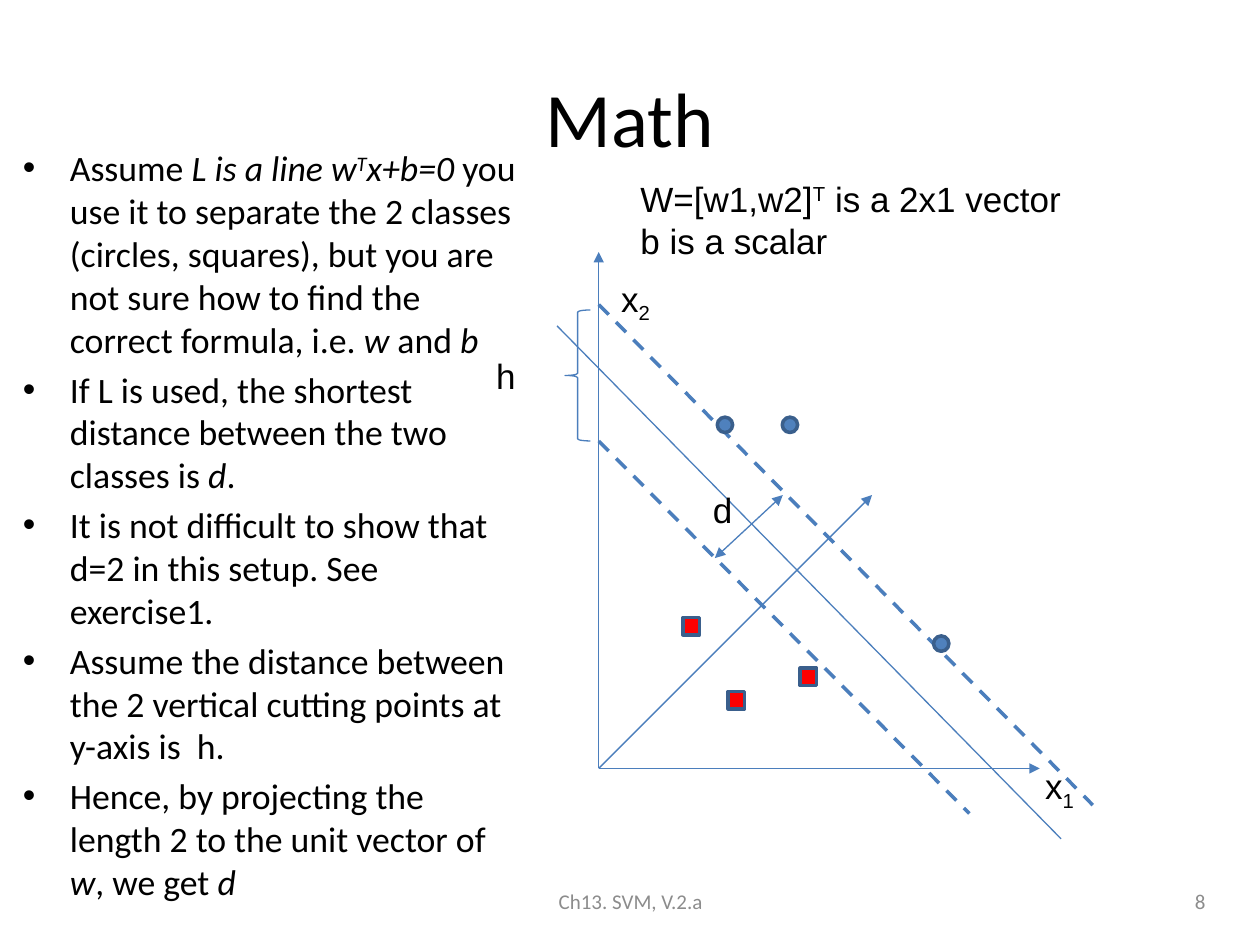
from lxml import etree
from pptx import Presentation
from pptx.dml.color import RGBColor
from pptx.enum.dml import MSO_LINE
from pptx.enum.shapes import MSO_CONNECTOR, MSO_SHAPE
from pptx.enum.text import MSO_ANCHOR, PP_ALIGN
from pptx.oxml.ns import qn
from pptx.util import Cm, Pt

STRAIGHT = MSO_CONNECTOR.STRAIGHT
OVAL, RECT, BRACE = MSO_SHAPE.OVAL, MSO_SHAPE.RECTANGLE, MSO_SHAPE.LEFT_BRACE
DASH = MSO_LINE.DASH
MIDDLE = MSO_ANCHOR.MIDDLE
LEFT, CENTER, RIGHT = PP_ALIGN.LEFT, PP_ALIGN.CENTER, PP_ALIGN.RIGHT

BLACK = RGBColor(0x00, 0x00, 0x00)
GRAY = RGBColor(0x8C, 0x8C, 0x8C)
BLUE = RGBColor(0x4F, 0x81, 0xBD)
LINE = RGBColor(0x4B, 0x7E, 0xBC)
EDGE = RGBColor(0x3A, 0x5F, 0x8C)
RED = RGBColor(0xFF, 0x00, 0x00)

POINTS = [
    [("Assume ", ""), ("L is a line w", "i"), ("T", "i^"), ("x+b=0 ", "i"),
     ("you use it to separate the 2 classes (circles, squares), but you are "
      "not sure how to find the correct formula, i.e. ", ""),
     ("w", "i"), (" and ", ""), ("b", "i")],
    [("If L is used, the shortest distance between the two classes is ", ""),
     ("d", "i"), (".", "")],
    [("It is not difficult to show that d=2 in this setup. See exercise1.", "")],
    [("Assume the distance between the 2 vertical cutting points at y-axis is  h.", "")],
    [("Hence, by projecting the length 2 to the unit vector of ", ""),
     ("w", "i"), (", we get ", ""), ("d", "i")],
]
NOTES = [
    [("W=[w1,w2]", ""), ("T", "^"), (" is a 2x1 vector", "")],
    [("b is a scalar", "")],
]
SHIFT = {"^": "30000", "_": "-25000"}


def style(font, size, name, color=BLACK):
    """Set size, typeface and colour of a font."""
    font.size, font.name = Pt(size), name
    font.color.rgb = color


def write(para, parts, size, name, color=BLACK):
    """Fill a paragraph with runs; marks are i, ^ and _."""
    for text, marks in parts:
        run = para.add_run()
        run.text = text
        style(run.font, size, name, color)
        if "i" in marks:
            run.font.italic = True
        for mark in marks.replace("i", ""):
            run.font._element.set("baseline", SHIFT[mark])


def add_text(slide, box, paras, size, name, color=BLACK, align=LEFT, wrap=True):
    """Add a text box and return its frame."""
    frame = slide.shapes.add_textbox(*map(Cm, box)).text_frame
    frame.word_wrap = wrap
    for num, parts in enumerate(paras):
        para = frame.add_paragraph() if num else frame.paragraphs[0]
        para.alignment = align
        write(para, parts, size, name, color)
    return frame


def add_title(slide, box):
    """Place the slide title."""
    title = slide.shapes.title
    title.left, title.top, title.width, title.height = map(Cm, box)
    frame = title.text_frame
    frame.text = "Math"
    frame.vertical_anchor = MIDDLE
    frame.paragraphs[0].alignment = CENTER
    style(frame.paragraphs[0].runs[0].font, 44, "Calibri", BLACK)


def add_points(slide, box):
    """Place the bulleted list."""
    frame = add_text(slide, box, POINTS, 20.4, "Calibri")
    for num, para in enumerate(frame.paragraphs):
        props = para._p.get_or_add_pPr()
        props.set("marL", str(Cm(0.95)))
        props.set("indent", str(Cm(-0.95)))
        etree.SubElement(props, qn("a:buFont")).set("typeface", "Arial")
        etree.SubElement(props, qn("a:buChar")).set("char", "•")
        if num:
            para.space_before = Pt(4)


def add_notes(slide, box):
    """Place the indented notes above the plot."""
    frame = add_text(slide, box, NOTES, 20, "Arial")
    for para in frame.paragraphs:
        para._p.get_or_add_pPr().set("marL", str(Cm(1.27)))


def add_footer(slide, top):
    """Place the footer and slide number."""
    for left, width, text, align in (
        (8.69, 8.05, "Ch13. SVM, V.2.a", CENTER),
        (18.62, 5.93, "8", RIGHT),
    ):
        frame = add_text(slide, (left, top, width, 1.02), [[(text, "")]],
                         12, "Calibri", GRAY, align)
        frame.vertical_anchor = MIDDLE


def add_line(slide, start, end, width=0.75, dash=None, ends=()):
    """Draw a line with optional dash and arrowheads."""
    line = slide.shapes.add_connector(STRAIGHT, *map(Cm, start + end))
    line.line.color.rgb = LINE
    line.line.width = Pt(width)
    if dash:
        line.line.dash_style = dash
    for tag in ends:
        etree.SubElement(line.line._get_or_add_ln(), qn(tag)).set("type", "triangle")
    etree.SubElement(line._element.spPr, qn("a:effectLst"))


def add_mark(slide, kind, box, fill, edge=EDGE, width=2):
    """Draw a data mark or brace."""
    mark = slide.shapes.add_shape(kind, *map(Cm, box))
    mark.shadow.inherit = False
    if fill is None:
        mark.fill.background()
    else:
        mark.fill.solid()
        mark.fill.fore_color.rgb = fill
    mark.line.color.rgb = edge
    mark.line.width = Pt(width)


def add_plot(slide, left, base):
    """Draw the plot around its origin, with heights measured upward."""
    def at(x, y):
        return left + x, base - y

    head, tail = "a:headEnd", "a:tailEnd"
    for start, end, width, dash, ends in (
        ((0, 0), (0, 10.41), 0.75, None, [tail]),
        ((0, 0), (8.89, 0), 0.75, None, [tail]),
        ((-0.84, 8.92), (9.32, -1.42), 0.75, None, []),
        ((0, 9.35), (9.96, -0.74), 2, DASH, []),
        ((0, 6.6), (7.47, -0.91), 2, DASH, []),
        ((0, 0), (5.51, 5.51), 0.75, None, [tail]),
        ((2.34, 4.24), (3.71, 5.51), 0.75, None, [head, tail]),
    ):
        add_line(slide, at(*start), at(*end), width, dash, ends)
    for spot in ((3.7, 7.08), (6.75, 2.67), (2.39, 7.08)):
        add_mark(slide, OVAL, at(*spot) + (0.31, 0.31), BLUE)
    for spot in ((4.06, 2.02), (2.61, 1.55), (1.7, 3.04)):
        add_mark(slide, RECT, at(*spot) + (0.33, 0.35), RED)
    add_mark(slide, BRACE, at(-0.68, 9.24) + (0.51, 2.64), None, LINE, 0.75)
    for spot, width, parts, wrap in (
        ((0.2, 10.03), 1.47, [("x", ""), ("2", "_")], True),
        ((8.75, 0.2), 1.47, [("x", ""), ("1", "_")], True),
        ((2.05, 5.77), 0.91, [("d", "")], False),
        ((-2.32, 8.46), 0.91, [("h", "")], False),
    ):
        add_text(slide, at(*spot) + (width, 1.12), [parts], 20, "Arial", wrap=wrap)


def main():
    """Build and save the slide."""
    deck = Presentation()
    deck.slide_width, deck.slide_height = Cm(25.4), Cm(19.05)
    slide = deck.slides.add_slide(deck.slide_layouts[5])
    add_title(slide, (1.27, 0.76, 22.86, 3.18))
    add_points(slide, (0.21, 2.82, 10.5, 13.08))
    add_footer(slide, 17.65)
    add_plot(slide, 12.07, 15.49)
    add_notes(slide, (11.39, 3.45, 12.7, 1.96))
    deck.save("out.pptx")


if __name__ == "__main__":
    main()
